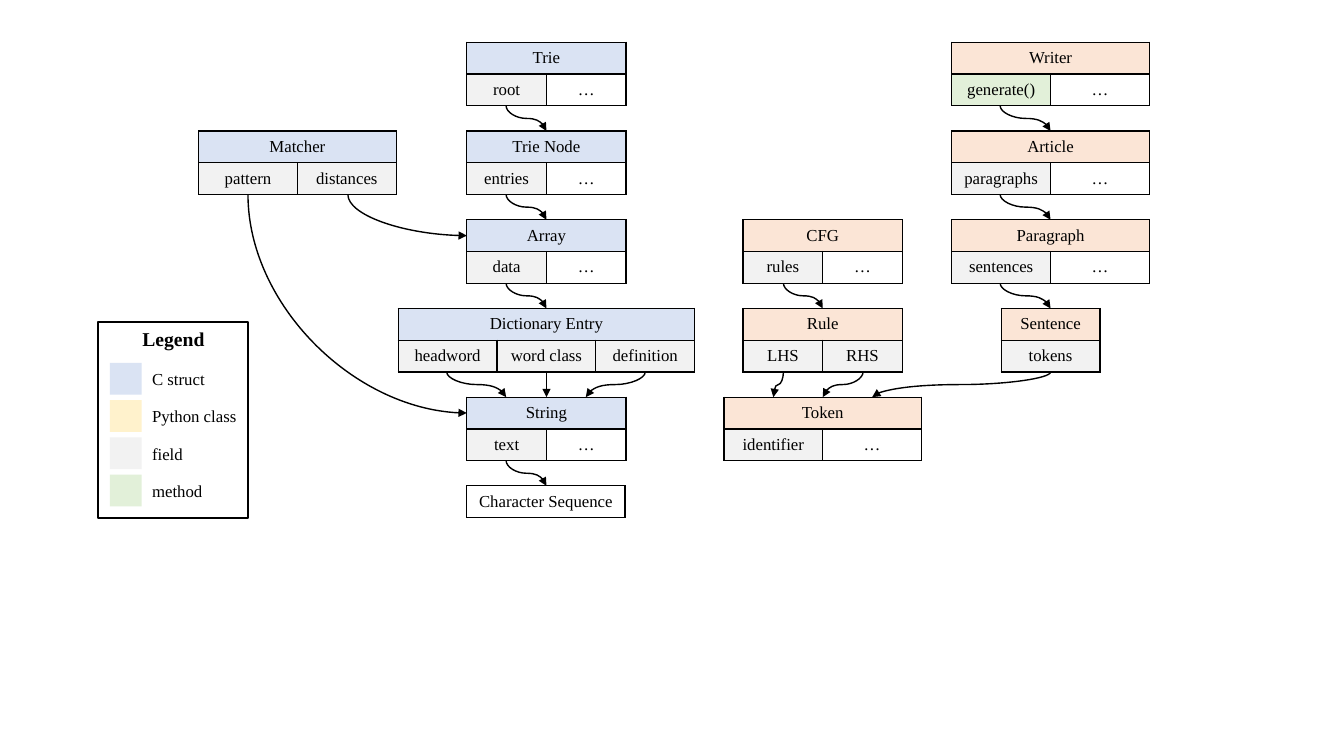
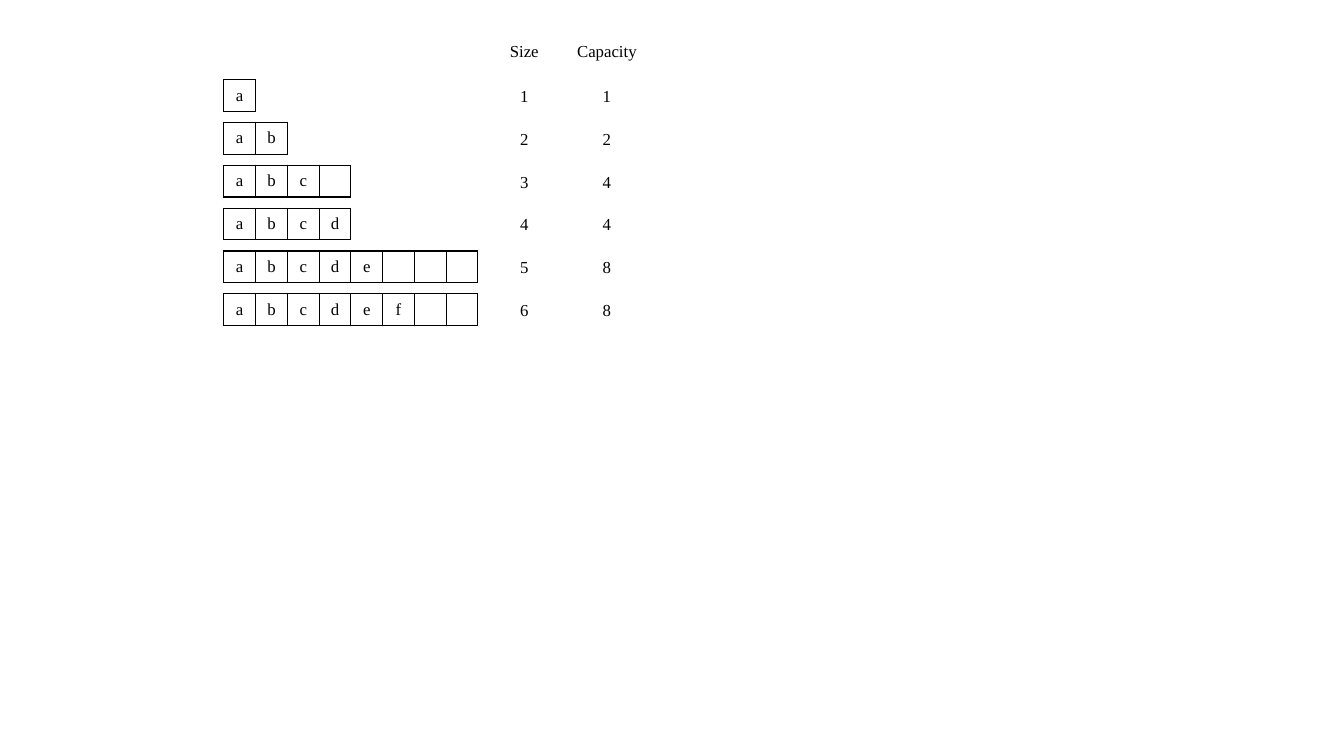
from lxml import etree
from pptx import Presentation
from pptx.dml.color import RGBColor
from pptx.enum import shapes, text
from pptx.oxml import ns
from pptx.util import Inches, Pt

BLACK = RGBColor(0x00, 0x00, 0x00)
STRUCT = RGBColor(0xDA, 0xE3, 0xF3)
PYTHON = RGBColor(0xFF, 0xF2, 0xCC)
GRAMMAR = RGBColor(0xFB, 0xE5, 0xD6)
FIELD = RGBColor(0xF2, 0xF2, 0xF2)
METHOD = RGBColor(0xE2, 0xF0, 0xD9)
FONT = {"name": "Times New Roman", "size": Pt(12), "bold": False}
CELL = 0.63 / 2
CENTER = text.PP_ALIGN.CENTER
LEFT = text.PP_ALIGN.LEFT


def write_text(frame, words, align=CENTER, **changes):
    para = frame.paragraphs[0]
    para.alignment = align
    if not words:
        size = str(int(FONT["size"].pt * 100))
        etree.SubElement(para._p, ns.qn("a:endParaRPr"), sz=size)
        return
    span = para.add_run()
    span.text = words
    for name, value in {**FONT, **changes}.items():
        setattr(span.font, name, value)
    span.font.color.rgb = BLACK


def draw_table(page, left, top, width, rows, fills):
    columns = max(len(row) for row in rows)
    frame = page.shapes.add_table(
        len(rows), columns, Inches(left), Inches(top),
        Inches(width * columns), Inches(CELL * len(rows)))
    table = frame.table
    table.first_row = table.horz_banding = False
    for column in table.columns:
        column.width = Inches(width)
    for row in table.rows:
        row.height = Inches(CELL)
    for cell in table.iter_cells():
        cell.vertical_anchor = text.MSO_ANCHOR.MIDDLE
        properties = cell._tc.get_or_add_tcPr()
        for edge in ("lnL", "lnR", "lnT", "lnB"):
            border = etree.SubElement(properties, ns.qn("a:" + edge), w=str(Pt(1)))
            solid = etree.SubElement(border, ns.qn("a:solidFill"))
            etree.SubElement(solid, ns.qn("a:srgbClr"), val=str(BLACK))
        cell.fill.background()
    for r, (row, colors) in enumerate(zip(rows, fills)):
        if len(row) < columns:
            table.cell(r, 0).merge(table.cell(r, columns - 1))
        for c, (words, color) in enumerate(zip(row, colors)):
            cell = table.cell(r, c)
            write_text(cell.text_frame, words)
            if color is not None:
                cell.fill.solid()
                cell.fill.fore_color.rgb = color


deck = Presentation()
deck.slide_width = Inches(13.33)
deck.slide_height = Inches(7.5)
blank = deck.slide_layouts[6]

page = deck.slides.add_slide(blank)
level_tops = [0.42 + 0.88 * level for level in range(6)]
NARROW, WIDE = 0.79, 0.98
records = [
    (5.42, 0, NARROW, STRUCT, "Trie", ["root", "…"]),
    (5.42, 1, NARROW, STRUCT, "Trie Node", ["entries", "…"]),
    (5.42, 2, NARROW, STRUCT, "Array", ["data", "…"]),
    (5.42, 3, WIDE, STRUCT, "Dictionary Entry", ["headword", "word class", "definition"]),
    (5.42, 4, NARROW, STRUCT, "String", ["text", "…"]),
    (2.95, 1, WIDE, STRUCT, "Matcher", ["pattern", "distances"]),
    (8.16, 2, NARROW, GRAMMAR, "CFG", ["rules", "…"]),
    (8.16, 3, NARROW, GRAMMAR, "Rule", ["LHS", "RHS"]),
    (8.16, 4, WIDE, GRAMMAR, "Token", ["identifier", "…"]),
    (10.42, 0, WIDE, GRAMMAR, "Writer", ["generate()", "…"]),
    (10.42, 1, WIDE, GRAMMAR, "Article", ["paragraphs", "…"]),
    (10.42, 2, WIDE, GRAMMAR, "Paragraph", ["sentences", "…"]),
    (10.42, 3, WIDE, GRAMMAR, "Sentence", ["tokens"]),
]
for center, level, width, color, title, members in records:
    member_fills = [
        None if member == "…" else METHOD if member.endswith("()") else FIELD
        for member in members]
    draw_table(page, center - width * len(members) / 2, level_tops[level], width,
               [[title], members], [[color], member_fills])
draw_table(page, 4.63, level_tops[5], 1.57, [["Character Sequence"]], [[None]])

level_links = [
    [(5.02, 5.42), (9.92, 10.42)],
    [(5.02, 5.42), (9.92, 10.42)],
    [(5.02, 5.42), (7.77, 8.16), (9.92, 10.42)],
    [(4.43, 5.02), (5.42, 5.42), (6.4, 5.81), (7.77, 7.67), (8.56, 8.16), (10.42, 8.65)],
    [(5.02, 5.42)],
]
matcher_bottom = level_tops[1] + 2 * CELL
arrows = [
    ("curvedConnector2", 3.45, matcher_bottom, 4.63, level_tops[2] + CELL / 2),
    ("curvedConnector2", 2.46, matcher_bottom, 4.63, level_tops[4] + CELL / 2),
]
for level, links in enumerate(level_links):
    for start, end in links:
        preset = "line" if start == end else "curvedConnector3"
        arrows.append((preset, start, level_tops[level] + 2 * CELL,
                       end, level_tops[level + 1]))
for preset, x1, y1, x2, y2 in arrows:
    if preset == "line":
        arrow = page.shapes.add_connector(
            shapes.MSO_CONNECTOR.STRAIGHT, Inches(x1), Inches(y1), Inches(x2), Inches(y2))
    else:
        across, down = abs(x2 - x1), y2 - y1
        left = (x1 + x2 - down) / 2
        top = (y1 + y2 - across) / 2
        arrow = page.shapes.add_connector(
            shapes.MSO_CONNECTOR.CURVE, Inches(left), Inches(top),
            Inches(left + down), Inches(top + across))
        arrow._element.spPr.find(ns.qn("a:prstGeom")).set("prst", preset)
        frame = arrow._element.spPr.find(ns.qn("a:xfrm"))
        frame.set("rot", "16200000" if x2 > x1 else "5400000")
        if x2 > x1:
            frame.set("flipH", "1")
    arrow.line.color.rgb = BLACK
    arrow.line.width = Pt(1)
    etree.SubElement(arrow.line._get_or_add_ln(), ns.qn("a:tailEnd"), type="triangle")
    etree.SubElement(arrow._element.spPr, ns.qn("a:effectLst"))

legend = page.shapes.add_group_shape()
entries = [("C struct", STRUCT), ("Python class", PYTHON), ("field", FIELD), ("method", METHOD)]
for index, (words, color) in enumerate(entries):
    top = 3.6 + 0.37 * index
    swatch = legend.shapes.add_shape(
        shapes.MSO_SHAPE.RECTANGLE, Inches(1.09), Inches(top), Inches(CELL), Inches(CELL))
    swatch.shadow.inherit = False
    swatch.fill.solid()
    swatch.fill.fore_color.rgb = color
    swatch.line.fill.background()
    box = legend.shapes.add_textbox(Inches(1.41), Inches(top + 0.01), Inches(1.1), Inches(0.3))
    box.text_frame.word_wrap = True
    write_text(box.text_frame, words, LEFT)
box = legend.shapes.add_textbox(Inches(1.31), Inches(3.19), Inches(0.82), Inches(0.34))
box.text_frame.word_wrap = False
write_text(box.text_frame, "Legend", size=Pt(14), bold=True)
outline = legend.shapes.add_shape(
    shapes.MSO_SHAPE.RECTANGLE, Inches(0.97), Inches(3.19), Inches(1.49), Inches(1.95))
outline.shadow.inherit = False
outline.fill.background()
outline.line.color.rgb = BLACK
outline.line.width = Pt(1.5)

page = deck.slides.add_slide(blank)
labels = [(5.2, 0.35, "Size"), (6.02, 0.35, "Capacity")]
for index, capacity in enumerate([1, 2, 4, 4, 8, 8]):
    size = index + 1
    top = 0.79 + 0.85 / 2 * index
    letters = list("abcdef"[:size]) + [""] * (capacity - size)
    draw_table(page, 2.22, top, CELL, [letters], [[None] * capacity])
    labels += [(5.2, top + 0.01, str(size)), (6.02, top + 0.01, str(capacity))]
for center, top, words in labels:
    box = page.shapes.add_textbox(Inches(center - 0.4), Inches(top), Inches(0.8), Inches(0.3))
    box.text_frame.word_wrap = False
    box.text_frame.vertical_anchor = text.MSO_ANCHOR.MIDDLE
    write_text(box.text_frame, words)

deck.save("out.pptx")
